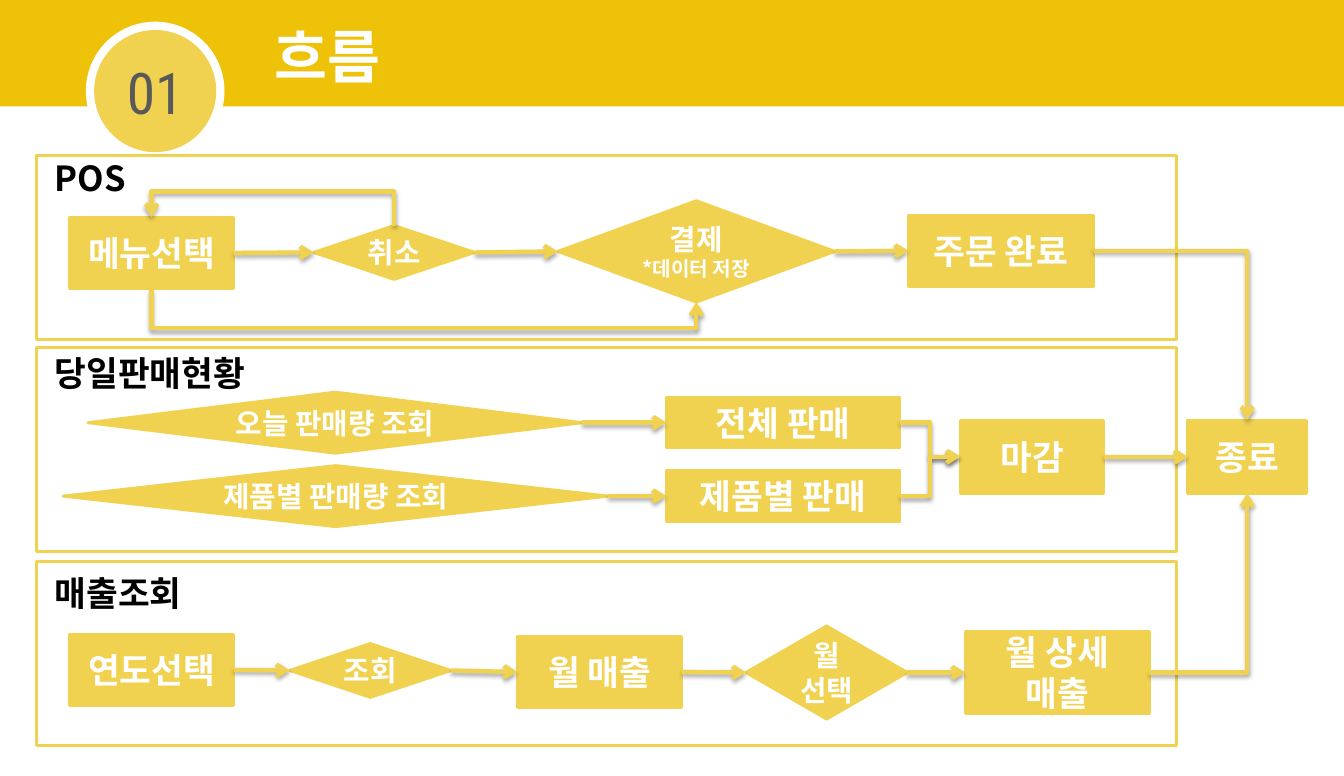
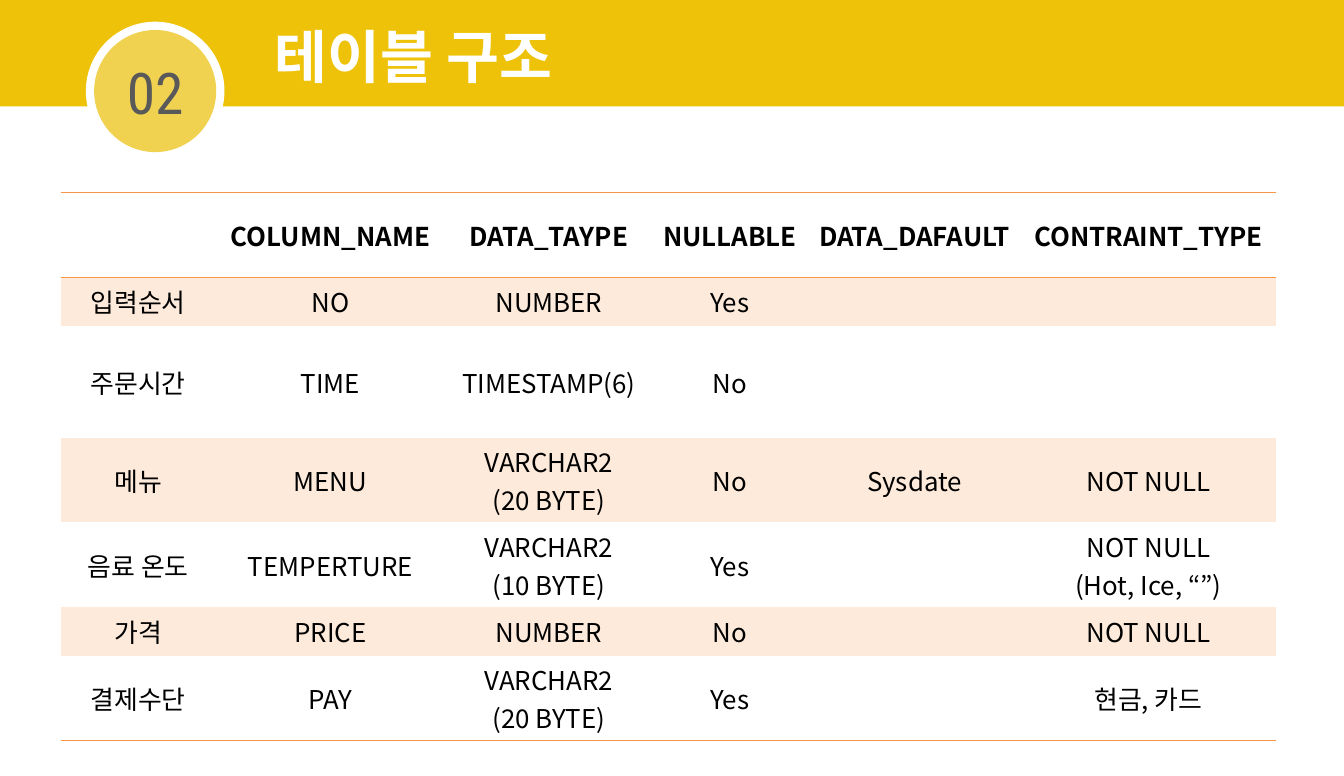
import pptx
import pptx.util
import pptx.dml.color
import pptx.enum.shapes
import pptx.enum.text
import pptx.oxml
import pptx.oxml.ns
import lxml.etree

Inches = pptx.util.Inches
Pt = pptx.util.Pt
RGBColor = pptx.dml.color.RGBColor
qn = pptx.oxml.ns.qn
MSO_SHAPE = pptx.enum.shapes.MSO_SHAPE
MSO_CONNECTOR = pptx.enum.shapes.MSO_CONNECTOR
PP_ALIGN = pptx.enum.text.PP_ALIGN
MSO_ANCHOR = pptx.enum.text.MSO_ANCHOR

BAND = RGBColor(0xEE, 0xC2, 0x08)
YELLOW = RGBColor(0xF1, 0xD2, 0x50)
WHITE = RGBColor(0xFF, 0xFF, 0xFF)
BLACK = RGBColor(0, 0, 0)
GREY = RGBColor(0x59, 0x59, 0x59)
ORANGE = RGBColor(0xF7, 0x96, 0x46)
PEACH = RGBColor(0xFD, 0xEA, 0xDA)

BODY_FONT = "Noto Sans CJK KR"
NUMBER_FONT = "Roboto Condensed"
TITLE_FONT = "Times New Roman"

TOP, LEFT, BOTTOM, RIGHT = range(4)
NO_STYLE_NO_GRID = "{2D5ABB26-0587-4C30-8999-92F81FD0307C}"

COLUMN_WIDTHS = [1.49, 2.23, 1.99, 1.51, 2.06, 2.46]
ROW_HEIGHTS = [0.82, 0.47, 1.08, 0.82, 0.82, 0.47, 0.82]
TABLE_ROWS = [
    ["", "COLUMN_NAME", "DATA_TAYPE", "NULLABLE", "DATA_DAFAULT", "CONTRAINT_TYPE"],
    ["입력순서", "NO", "NUMBER", "Yes", "", ""],
    ["주문시간", "TIME", "TIMESTAMP(6)", "No", "", ""],
    ["메뉴", "MENU", "VARCHAR2\n(20 BYTE)", "No", "Sysdate", "NOT NULL"],
    ["음료 온도", "TEMPERTURE", "VARCHAR2\n(10 BYTE)", "Yes", "", "NOT NULL\n(Hot, Ice, “”)"],
    ["가격", "PRICE", "NUMBER", "No", "", "NOT NULL"],
    ["결제수단", "PAY", "VARCHAR2\n(20 BYTE)", "Yes", "", "현금, 카드"],
]


def add_line(tf, text, size, color, bold=True, font=BODY_FONT, align=PP_ALIGN.CENTER):
    """Write one paragraph, using the empty first one when it is free."""
    p = tf.paragraphs[0]
    if p.runs:
        p = tf.add_paragraph()
    p.alignment = align
    r = p.add_run()
    r.text = text
    r.font.size = Pt(size)
    r.font.bold = bold
    r.font.color.rgb = color
    r.font.name = font
    ea = lxml.etree.SubElement(r.font._element, qn("a:ea"))
    ea.set("typeface", BODY_FONT)


def add_label(s, x, y, w, h, text, size, color, font=BODY_FONT):
    sp = s.shapes.add_textbox(Inches(x), Inches(y), Inches(w), Inches(h))
    tf = sp.text_frame
    tf.word_wrap = True
    tf.auto_size = pptx.enum.text.MSO_AUTO_SIZE.SHAPE_TO_FIT_TEXT
    add_line(tf, text, size, color, font=font, align=PP_ALIGN.LEFT)


def add_block(s, kind, x, y, w, h, fill=None, outline=None):
    sp = s.shapes.add_shape(kind, Inches(x), Inches(y), Inches(w), Inches(h))
    sp.shadow.inherit = False
    if fill is None:
        sp.fill.background()
    else:
        sp.fill.solid()
        sp.fill.fore_color.rgb = fill
    if outline is None:
        sp.line.fill.background()
    else:
        sp.line.color.rgb = outline
        sp.line.width = Pt(2)
    sp.text_frame.vertical_anchor = MSO_ANCHOR.MIDDLE
    return sp


def add_node(s, kind, x, y, w, h, *lines):
    """Flowchart node; each line is a (text, size) pair."""
    sp = add_block(s, kind, x, y, w, h, YELLOW, YELLOW)
    for text, size in lines:
        add_line(sp.text_frame, text, size, WHITE)
    return sp


def add_step(s, x, y, w, h, *texts):
    return add_node(s, MSO_SHAPE.RECTANGLE, x, y, w, h, *[(t, 24) for t in texts])


def add_decision(s, x, y, w, h, text, note=None):
    lines = [(text, 20)] + ([(note, 14)] if note else [])
    return add_node(s, MSO_SHAPE.FLOWCHART_DECISION, x, y, w, h, *lines)


def add_panel(s, y, h, label, label_y):
    add_block(s, MSO_SHAPE.RECTANGLE, 0.35, y, 11.02, h, outline=YELLOW)
    add_label(s, 0.43, label_y, 3.5, 0.5, label, 24, BLACK)


def style_arrow(cxn):
    cxn.line.color.rgb = YELLOW
    cxn.line.width = Pt(3)
    ln = cxn.line._get_or_add_ln()
    lxml.etree.SubElement(ln, qn("a:tailEnd")).set("type", "arrow")
    effects = lxml.etree.SubElement(cxn._element.spPr, qn("a:effectLst"))
    shadow = lxml.etree.SubElement(effects, qn("a:outerShdw"), blurRad="40000",
                                   dist="23000", dir="5400000", rotWithShape="0")
    clr = lxml.etree.SubElement(shadow, qn("a:srgbClr"), val="000000")
    lxml.etree.SubElement(clr, qn("a:alpha"), val="35000")


def add_arrow(s, start, end, kind=MSO_CONNECTOR.STRAIGHT, end_side=LEFT):
    """Arrow from the right side of one node to a side of the next."""
    x1, y1 = side_point(start, RIGHT)
    x2, y2 = side_point(end, end_side)
    cxn = s.shapes.add_connector(kind, x1, y1, x2, y2)
    cxn.begin_connect(start, RIGHT)
    cxn.end_connect(end, end_side)
    if end_side != LEFT:
        cxn._element.spPr.find(qn("a:prstGeom")).set("prst", "bentConnector2")
    style_arrow(cxn)


def side_point(sp, side):
    dx, dy = [(1, 0), (0, 1), (1, 2), (2, 1)][side]
    return sp.left + sp.width * dx // 2, sp.top + sp.height * dy // 2


def add_loop_arrow(s, start, end, side, bus_y):
    """U-shaped arrow between equal sides of two nodes, running along bus_y."""
    x1, y1 = side_point(start, side)
    x2, y2 = side_point(end, side)
    w, h = abs(y2 - y1), abs(x2 - x1)
    left, top = (x1 + x2 - w) // 2, (y1 + y2 - h) // 2
    cxn = s.shapes.add_connector(MSO_CONNECTOR.ELBOW, left, top, left + w, top + h)
    cxn.rotation = 270
    xfrm = cxn._element.spPr.find(qn("a:xfrm"))
    if y2 > y1:
        xfrm.set("flipH", "1")
    if x2 < x1:
        xfrm.set("flipV", "1")
    adjust = round((Inches(bus_y) - y1) / (y2 - y1) * 100000)
    guides = cxn._element.spPr.find(qn("a:prstGeom")).find(qn("a:avLst"))
    lxml.etree.SubElement(guides, qn("a:gd"), name="adj1", fmla=f"val {adjust}")
    style_arrow(cxn)


def add_slide(prs, number, title):
    s = prs.slides.add_slide(prs.slide_layouts[6])
    add_block(s, MSO_SHAPE.RECTANGLE, 0, -0.03, 12.99, 1.06, BAND)
    add_block(s, MSO_SHAPE.OVAL, 0.83, 0.21, 1.34, 1.34, WHITE)
    badge = add_block(s, MSO_SHAPE.OVAL, 0.91, 0.29, 1.18, 1.18, YELLOW)
    add_line(badge.text_frame, number, 40, GREY, bold=False, font=NUMBER_FONT)
    add_label(s, 2.56, 0.15, 6.77, 0.77, title, 40, WHITE, TITLE_FONT)
    return s


def add_flow(s):
    add_panel(s, 1.5, 1.78, "POS", 1.47)
    add_panel(s, 3.36, 1.97, "당일판매현황", 3.35)
    add_panel(s, 5.43, 1.78, "매출조회", 5.48)
    finish = add_step(s, 11.48, 4.06, 1.15, 0.71, "종료")

    menu = add_step(s, 0.67, 2.1, 1.59, 0.69, "메뉴선택")
    cancel = add_decision(s, 3.03, 2.18, 1.56, 0.52, "취소")
    payment = add_decision(s, 5.39, 1.94, 2.68, 0.98, "결제", "*데이터 저장")
    ordered = add_step(s, 8.78, 2.08, 1.79, 0.69, "주문 완료")

    today = add_decision(s, 0.85, 3.79, 4.78, 0.59, "오늘 판매량 조회")
    by_product = add_decision(s, 0.61, 4.5, 5.27, 0.59, "제품별 판매량 조회")
    all_sales = add_step(s, 6.44, 3.84, 2.26, 0.49, "전체 판매")
    product_sales = add_step(s, 6.44, 4.55, 2.26, 0.49, "제품별 판매")
    closing = add_step(s, 9.28, 4.06, 1.39, 0.71, "마감")

    year = add_step(s, 0.67, 6.13, 1.59, 0.69, "연도선택")
    query = add_decision(s, 2.8, 6.22, 1.56, 0.52, "조회")
    monthly = add_step(s, 5, 6.15, 1.59, 0.69, "월 매출")
    month = add_decision(s, 7.21, 6.05, 1.56, 0.9, "월 선택")
    detail = add_step(s, 9.33, 6.1, 1.78, 0.8, "월 상세", "매출")

    chains = [
        [menu, cancel, payment, ordered],
        [today, all_sales],
        [by_product, product_sales],
        [closing, finish],
        [year, query, monthly, month, detail],
    ]
    for chain in chains:
        for start, end in zip(chain, chain[1:]):
            add_arrow(s, start, end)
    for sales in (all_sales, product_sales):
        add_arrow(s, sales, closing, MSO_CONNECTOR.ELBOW)
    add_arrow(s, ordered, finish, MSO_CONNECTOR.ELBOW, TOP)
    add_arrow(s, detail, finish, MSO_CONNECTOR.ELBOW, BOTTOM)
    add_loop_arrow(s, cancel, menu, TOP, 1.85)
    add_loop_arrow(s, menu, payment, BOTTOM, 3.17)


def add_border(cell, tag):
    ln = lxml.etree.SubElement(cell._tc.get_or_add_tcPr(), qn(tag), w=str(Pt(1)))
    fill = lxml.etree.SubElement(ln, qn("a:solidFill"))
    lxml.etree.SubElement(fill, qn("a:srgbClr"), val=str(ORANGE))


def fill_cell(cell, text, row):
    cell.vertical_anchor = MSO_ANCHOR.MIDDLE
    if row == 0:
        add_border(cell, "a:lnT")
    if row in (0, len(TABLE_ROWS) - 1):
        add_border(cell, "a:lnB")
    if row % 2:
        cell.fill.solid()
        cell.fill.fore_color.rgb = PEACH
    else:
        cell.fill.background()
    if text:
        for line in text.split("\n"):
            add_line(cell.text_frame, line, 18, BLACK, bold=row == 0)


def add_column_table(s):
    frame = s.shapes.add_table(len(TABLE_ROWS), len(COLUMN_WIDTHS), Inches(0.59), Inches(1.86),
                               Inches(sum(COLUMN_WIDTHS)), Inches(sum(ROW_HEIGHTS)))
    table = frame.table
    table._tbl.tblPr.find(qn("a:tableStyleId")).text = NO_STYLE_NO_GRID
    table.horz_banding = False
    for column, width in zip(table.columns, COLUMN_WIDTHS):
        column.width = Inches(width)
    for row, height in zip(table.rows, ROW_HEIGHTS):
        row.height = Inches(height)
    for i, texts in enumerate(TABLE_ROWS):
        for j, text in enumerate(texts):
            fill_cell(table.cell(i, j), text, i)


def main():
    prs = pptx.Presentation()
    prs.slide_width = Inches(12.99)
    prs.slide_height = Inches(7.5)
    add_flow(add_slide(prs, "01", "흐름"))
    add_column_table(add_slide(prs, "02", "테이블 구조"))
    prs.save("out.pptx")


if __name__ == "__main__":
    main()
